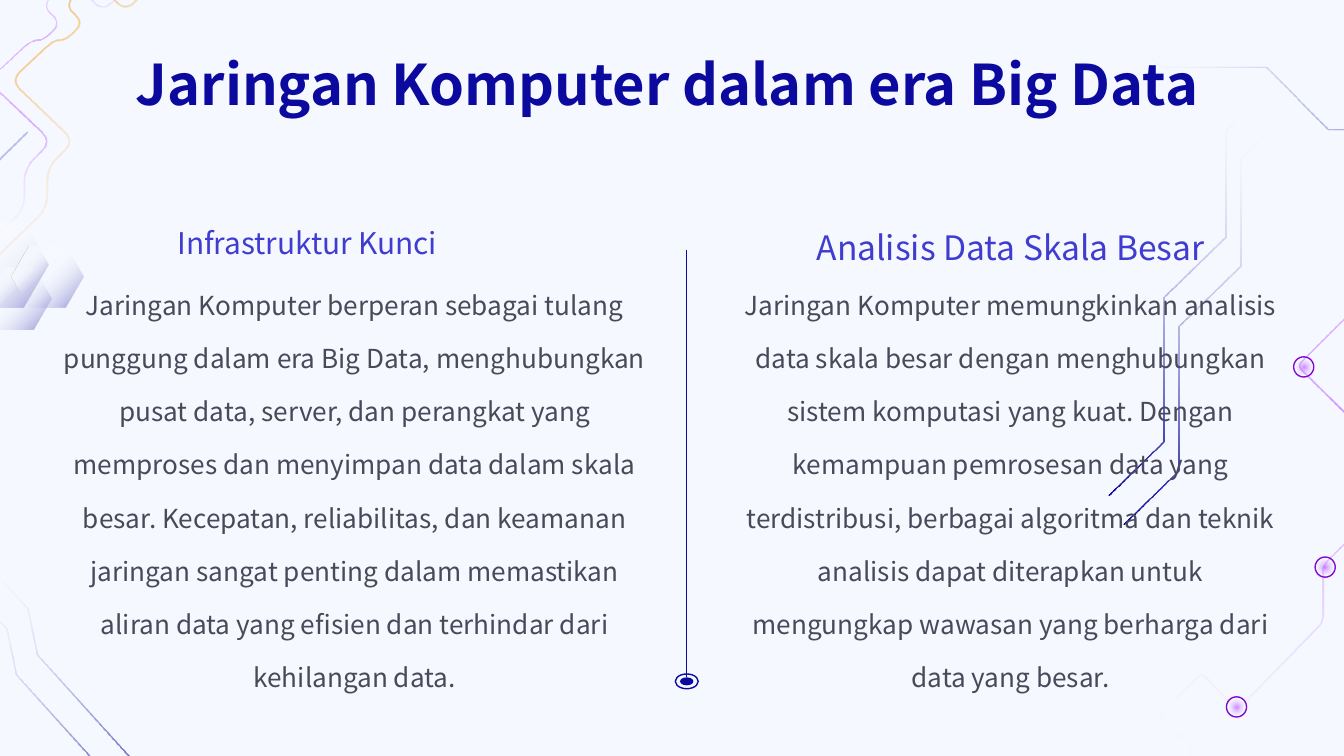
from dataclasses import dataclass
from math import hypot
from typing import NamedTuple

from lxml import etree
from pptx import Presentation
from pptx.dml.color import RGBColor
from pptx.enum import shapes, text
from pptx.oxml import parse_xml
from pptx.oxml.ns import nsdecls, qn
from pptx.util import Inches, Pt

Point = tuple[float, float]


@dataclass(frozen=True)
class Theme:
    font: str = "Noto Sans CJK JP"
    background: str = "F5F8FF"
    navy: str = "0C0A9E"
    heading: str = "403CCF"
    body: str = "49495A"
    violet: str = "8208D5"
    title_size: float = 30
    body_size: float = 14
    body_spacing: float = 28.5
    heading_spacing: float = 27.5
    line_width: float = 0.75
    trace_width: float = 0.012


class Gradient(NamedTuple):
    stops: list[tuple[int, str, int]]
    angle: float | None = None


class Trace(NamedTuple):
    corners: list[Point]
    gradient: Gradient
    radius: float = 0
    shift: Point = (0, 0)


class TextBlock(NamedTuple):
    content: str
    box: tuple[float, float, float, float]
    size: float
    color: str
    spacing: float
    centered: bool = True
    insets: Point = (0, 0)


THEME = Theme()
CLEAR = (100, "FFFFFF", 0)
NAVY_STOPS = [(0, THEME.navy, 100), CLEAR]
NAVY_UP, NAVY_LEFT, NAVY_DIAGONAL = (Gradient(NAVY_STOPS, angle) for angle in (270, 180, 227.8))
NAVY_FAINT = Gradient([(0, THEME.navy, 37), CLEAR], 225)
ORANGE = Gradient([(0, "EB9109", 100), (40, "FF9900", 41), CLEAR], 45)
VIOLET_GLOW = Gradient([(0, "9900FF", 47), CLEAR])
HEXAGON_FADE = Gradient([(0, THEME.background, 100), (22, THEME.background, 100),
                         (45, "FFFFFF", 0), (100, THEME.navy, 50)], 45)

RIGHT_TRACE = [(8.36, 3.9), (8.77, 3.5), (8.77, 2.43), (9.23, 1.98),
               (9.23, 1.19), (9.48, 0.94), (9.91, 0.94), (9.91, 0.81)]
TOP_TRACE = [(11.35, 1.37), (10.95, 0.96), (9.88, 0.96), (9.42, 0.5),
             (8.64, 0.5), (8.39, 0.25), (8.39, -0.18), (8.25, -0.18)]
VIOLET_TRACE = [(12.08, 0.3), (11.44, 0.93), (11.8, 1.28), (10.7, 2.38), (10.35, 2.02), (9.65, 2.72),
                (10.49, 3.55), (9.84, 4.2), (9.84, 4.62), (9.2, 5.28), (8.94, 5.0), (8.62, 5.32),
                (8.89, 5.58), (8.75, 5.72), (8.9, 5.85), (8.84, 5.91), (8.8, 5.84)]
BOTTOM_TRACE = [(1.19, 6.25), (1.1, 5.78), (0.28, 4.87), (0.21, 4.53), (-0.16, 4.13)]
CURVED_TRACE = [(0.58, -0.63), (1.11, -0.1), (0.93, 0.09), (0.69, -0.17), (0.48, 0.04), (0.62, 0.17),
                (0.49, 0.3), (0.4, 0.3), (0.08, 0.6), (0.55, 1.05), (0.35, 1.25), (0.35, 1.55), (0, 1.89)]
BRACKET_TRACE = [(0.2, 0.98), (-0.1, 1.28), (-0.1, 0.71), (-0.33, 0.71), (-0.33, 0.19)]
TRACES = [
    Trace(RIGHT_TRACE, NAVY_UP),
    Trace(RIGHT_TRACE, NAVY_UP, shift=(-0.11, -0.22)),
    Trace(TOP_TRACE, NAVY_LEFT),
    Trace(VIOLET_TRACE, VIOLET_GLOW, 0.05),
    Trace(BOTTOM_TRACE, NAVY_DIAGONAL),
    Trace(BOTTOM_TRACE, NAVY_DIAGONAL, shift=(-0.16, 0.15)),
    Trace(CURVED_TRACE, ORANGE, 0.1),
    Trace(CURVED_TRACE, VIOLET_GLOW, 0.1, (-0.17, 0)),
    Trace(BRACKET_TRACE, NAVY_FAINT),
]
HEXAGONS = [(-0.38, 1.65, 0.74, 0.64), (-0.15, 1.99, 0.53, 0.46), (0.09, 1.83, 0.53, 0.46)]
NODES = [(9.2, 5.26), (9.86, 4.22), (9.7, 2.73)]

TITLE = TextBlock("Jaringan Komputer dalam era Big Data", (0.75, 0.27, 8.43, 1.08),
                  THEME.title_size, THEME.navy, 0, insets=(0.1, 0.1))
TEXTS = [
    TextBlock("Infrastruktur Kunci", (1.32, 1.56, 2.39, 0.41), 16, THEME.heading,
              THEME.heading_spacing, centered=False),
    TextBlock("Analisis Data Skala Besar", (5.56, 1.61, 3.92, 0.39), 18, THEME.heading,
              THEME.heading_spacing),
    TextBlock("Jaringan Komputer berperan sebagai tulang punggung dalam era Big Data, menghubungkan "
              "pusat data, server, dan perangkat yang memproses dan menyimpan data dalam skala besar. "
              "Kecepatan, reliabilitas, dan keamanan jaringan sangat penting dalam memastikan aliran "
              "data yang efisien dan terhindar dari kehilangan data.",
              (0.4, 1.99, 4.48, 2.81), THEME.body_size, THEME.body, THEME.body_spacing),
    TextBlock("Jaringan Komputer memungkinkan analisis data skala besar dengan menghubungkan sistem "
              "komputasi yang kuat. Dengan kemampuan pemrosesan data yang terdistribusi, berbagai "
              "algoritma dan teknik analisis dapat diterapkan untuk mengungkap wawasan yang berharga "
              "dari data yang besar.",
              (5.42, 1.94, 4.2, 3.29), THEME.body_size, THEME.body, THEME.body_spacing, insets=(0.1, 0.05)),
]


def apply_gradient(shape, gradient: Gradient) -> None:
    stops = "".join(f'<a:gs pos="{position * 1000}"><a:srgbClr val="{color}"><a:alpha val="{alpha * 1000}"/>'
                    '</a:srgbClr></a:gs>' for position, color, alpha in gradient.stops)
    direction = '<a:path path="circle"><a:fillToRect l="50000" t="50000" r="50000" b="50000"/></a:path>'
    if gradient.angle is not None:
        direction = f'<a:lin ang="{round(gradient.angle * 60000)}" scaled="0"/>'
    shape.fill.gradient()
    old = shape._element.spPr.find(qn("a:gradFill"))
    old.getparent().replace(old, parse_xml(
        f'<a:gradFill {nsdecls("a")}><a:gsLst>{stops}</a:gsLst>{direction}</a:gradFill>'))


def unit(start: Point, end: Point) -> Point:
    dx, dy = end[0] - start[0], end[1] - start[1]
    return dx / hypot(dx, dy), dy / hypot(dx, dy)


def round_corners(corners: list[Point], radius: float) -> list[Point]:
    if not radius:
        return corners
    points = [corners[0]]
    for before, corner, after in zip(corners, corners[1:], corners[2:]):
        ends = []
        for neighbour in (before, after):
            dx, dy = unit(corner, neighbour)
            reach = min(radius, 0.45 * hypot(neighbour[0] - corner[0], neighbour[1] - corner[1]))
            ends.append((corner[0] + dx * reach, corner[1] + dy * reach))
        for t in (step / 6 for step in range(7)):
            points.append(tuple((1 - t) ** 2 * a + 2 * t * (1 - t) * b + t ** 2 * c
                                for a, b, c in zip(ends[0], corner, ends[1])))
    return points + [corners[-1]]


def ribbon(points: list[Point], width: float) -> list[Point]:
    left, right = [], []
    directions = [unit(start, end) for start, end in zip(points, points[1:])]
    for (x, y), before, after in zip(points, directions[:1] + directions, directions + directions[-1:]):
        nx, ny = -before[1] - after[1], before[0] + after[0]
        scale = width / (nx * nx + ny * ny)
        left.append((x + nx * scale, y + ny * scale))
        right.append((x - nx * scale, y - ny * scale))
    return left + right[::-1]


def draw_polygon(slide, points: list[Point], gradient: Gradient) -> None:
    vertices = [(Inches(x), Inches(y)) for x, y in points]
    builder = slide.shapes.build_freeform(*vertices[0])
    builder.add_line_segments(vertices[1:], close=True)
    shape = builder.convert_to_shape()
    shape.shadow.inherit = False
    shape.line.fill.background()
    apply_gradient(shape, gradient)


def draw_trace(slide, trace: Trace) -> None:
    corners = [(x + trace.shift[0], y + trace.shift[1]) for x, y in trace.corners]
    draw_polygon(slide, ribbon(round_corners(corners, trace.radius), THEME.trace_width), trace.gradient)


def draw_hexagon(slide, left: float, top: float, width: float, height: float) -> None:
    outline = [(0, 0.5), (0.25, 0), (0.75, 0), (1, 0.5), (0.75, 1), (0.25, 1)]
    draw_polygon(slide, [(left + x * width, top + y * height) for x, y in outline], HEXAGON_FADE)


def style_line(line, color: str) -> None:
    line.color.rgb = RGBColor.from_string(color)
    line.width = Pt(THEME.line_width)


def draw_ellipse(slide, center: Point, width: float, height: float, line: str | None = None):
    box = (center[0] - width / 2, center[1] - height / 2, width, height)
    shape = slide.shapes.add_shape(shapes.MSO_SHAPE.OVAL, *map(Inches, box))
    shape.shadow.inherit = False
    shape.fill.background()
    shape.line.fill.background()
    if line:
        style_line(shape.line, line)
    return shape


def draw_divider(slide) -> None:
    line = slide.shapes.add_connector(shapes.MSO_CONNECTOR.STRAIGHT, *map(Inches, (5.11, 1.86, 5.11, 5.04)))
    dot = draw_ellipse(slide, (5.11, 5.07), 0.1, 0.06)
    dot.fill.solid()
    dot.fill.fore_color.rgb = RGBColor.from_string(THEME.navy)
    draw_ellipse(slide, (5.11, 5.07), 0.17, 0.11, THEME.navy)
    line.end_connect(dot, 0)
    style_line(line.line, THEME.navy)
    etree.SubElement(line._element.spPr, qn("a:effectLst"))


def fill_text(shape, block: TextBlock, bold: bool = False) -> None:
    shape.left, shape.top, shape.width, shape.height = map(Inches, block.box)
    frame = shape.text_frame
    frame.text = block.content
    frame.word_wrap = True
    frame.auto_size = text.MSO_AUTO_SIZE.NONE
    frame.vertical_anchor = text.MSO_ANCHOR.TOP
    frame.margin_left = frame.margin_right = Inches(block.insets[0])
    frame.margin_top = frame.margin_bottom = Inches(block.insets[1])
    paragraph = frame.paragraphs[0]
    paragraph.alignment = text.PP_ALIGN.CENTER if block.centered else text.PP_ALIGN.LEFT
    paragraph.line_spacing = Pt(block.spacing) if block.spacing else 1.0
    font = paragraph.runs[0].font
    font.name, font.size, font.bold = THEME.font, Pt(block.size), bold
    font.color.rgb = RGBColor.from_string(block.color)


def main() -> None:
    presentation = Presentation()
    presentation.slide_width, presentation.slide_height = Inches(10), Inches(10 * 9 / 16)
    slide = presentation.slides.add_slide(presentation.slide_layouts[5])
    slide.background.fill.solid()
    slide.background.fill.fore_color.rgb = RGBColor.from_string(THEME.background)
    for trace in TRACES:
        draw_trace(slide, trace)
    for node in NODES:
        draw_ellipse(slide, node, 0.15, 0.15, THEME.violet)
        apply_gradient(draw_ellipse(slide, node, 0.11, 0.11), VIOLET_GLOW)
    for hexagon in HEXAGONS:
        draw_hexagon(slide, *hexagon)
    title = slide.shapes.title
    title._element.getparent().append(title._element)
    fill_text(title, TITLE, bold=True)
    draw_divider(slide)
    for block in TEXTS:
        fill_text(slide.shapes.add_textbox(0, 0, 0, 0), block)
    presentation.save("out.pptx")


if __name__ == "__main__":
    main()
